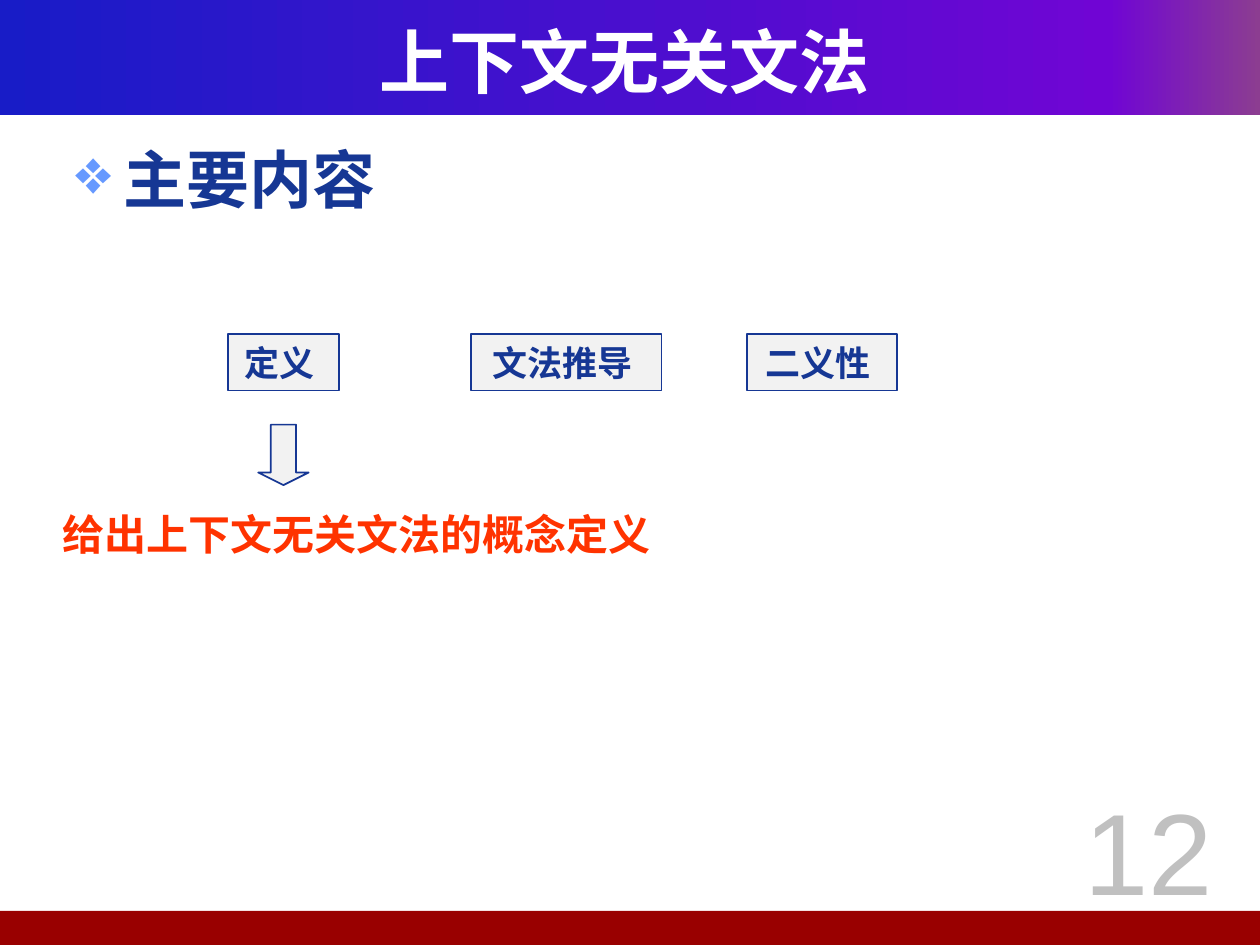
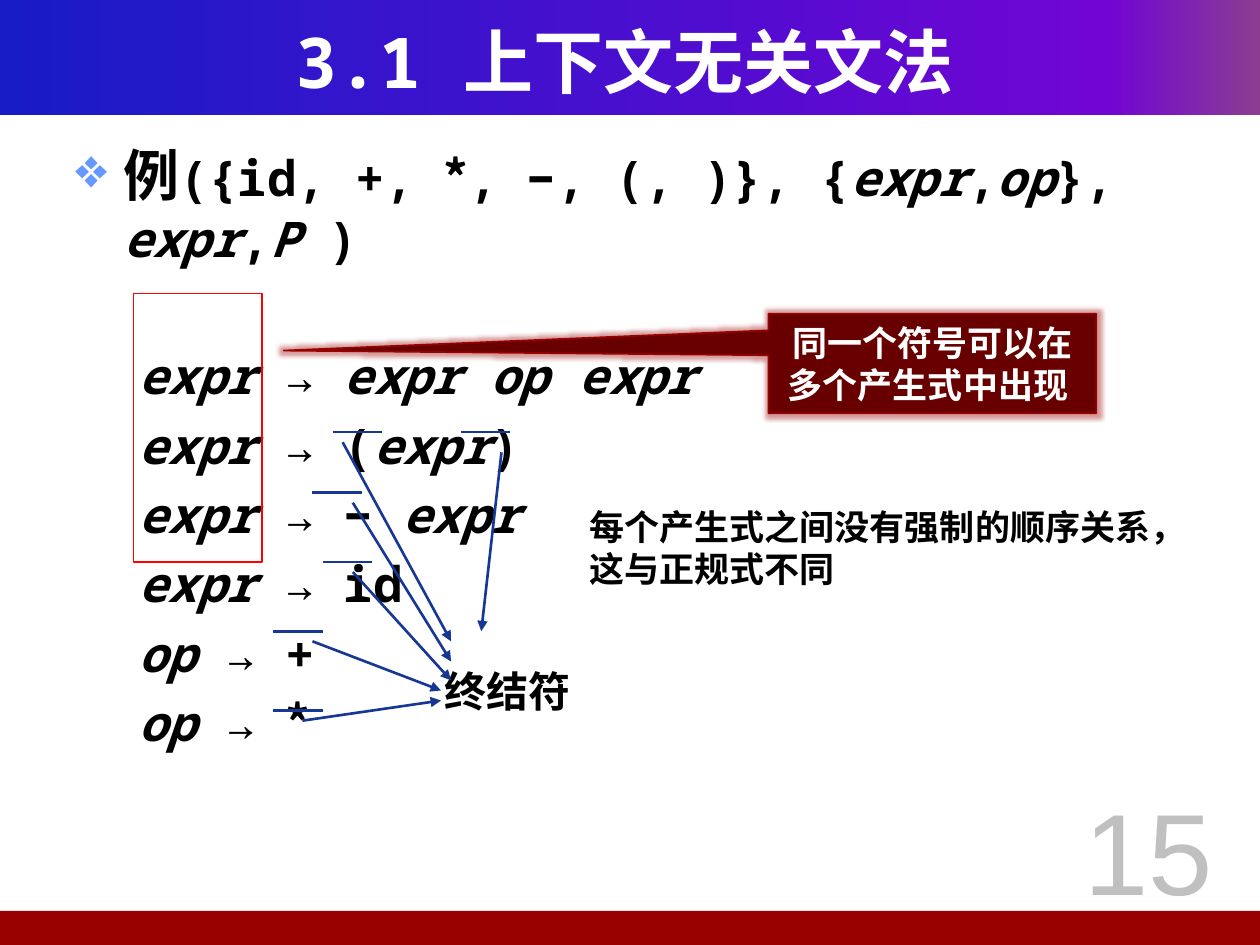
from copy import deepcopy

from lxml import etree
from pptx import Presentation
from pptx.dml.color import RGBColor
from pptx.enum.shapes import MSO_CONNECTOR, MSO_SHAPE
from pptx.enum.text import MSO_ANCHOR, PP_ALIGN
from pptx.oxml.ns import qn
from pptx.util import Inches, Pt

LEFT, CENTER = PP_ALIGN.LEFT, PP_ALIGN.CENTER
TOP, MIDDLE = MSO_ANCHOR.TOP, MSO_ANCHOR.MIDDLE
RECT, DOWN_ARROW = MSO_SHAPE.RECTANGLE, MSO_SHAPE.DOWN_ARROW
CALLOUT = MSO_SHAPE.RECTANGULAR_CALLOUT
STRAIGHT = MSO_CONNECTOR.STRAIGHT

COLORS = {
    "navy": "163794", "bullet": "6699FF", "footer": "990000", "maroon": "680000",
    "orange": "FF3300", "red": "FF0000", "box": "F2F2F2", "number": "C0C0C0",
    "white": "FFFFFF", "black": "000000",
}
TITLE_BLEND = [(0, "181CC7"), (0.88, "7005D4"), (1, "8C3D91")]
MONO, CJK, LATO, ARIAL = "Noto Sans Mono", "Noto Sans CJK SC", "Lato", "Arial"
COLUMNS, ROWS = 100, 75


def rgb(name):
    """Return the colour with this name."""
    return RGBColor.from_string(COLORS[name])


def add_node(parent, tag, **attributes):
    """Append an XML child and return it."""
    return etree.SubElement(parent, qn(tag), attributes)


def set_typeface(font, props, name):
    """Use one typeface for Latin and East Asian text."""
    font.name = name
    add_node(props, "a:ea", typeface=name)


class Deck:
    """Holds the style and the current slide; lengths are grid columns and rows."""

    def __init__(self):
        """Start an empty 4:3 presentation."""
        self.file = Presentation()
        self.file.slide_width, self.file.slide_height = Inches(10), Inches(7.5)
        self.slide = None

    def x(self, columns):
        """Turn columns into a length."""
        return round(columns * self.file.slide_width / COLUMNS)

    def y(self, rows):
        """Turn rows into a length."""
        return round(rows * self.file.slide_height / ROWS)

    def place(self, area):
        """Turn left, top, width and height into lengths."""
        left, top, width, height = area
        return self.x(left), self.y(top), self.x(width), self.y(height)

    def start_slide(self, title, number):
        """Add a slide with the title band, the footer and the page number."""
        self.slide = self.file.slides.add_slide(self.file.slide_layouts[6])
        self.blend(self.shape(RECT, (0, 0, COLUMNS, 9.1)))
        self.shape(RECT, (0, 72.3, COLUMNS, 2.7), fill="footer")
        self.text((3.3, 1.7, 92.5, 6.2), [title], MONO, 40, "white", True, CENTER, MIDDLE)
        self.text((82.3, 60.3, 17.7, 14.2), [str(number)], ARIAL, 66, "number",
                  False, CENTER, MIDDLE)

    def blend(self, band):
        """Fill the band with the horizontal title gradient."""
        band.fill.gradient()
        band.fill.gradient_angle = 0
        stop_list = band.element.spPr.find(".//" + qn("a:gsLst"))
        stop_list.append(deepcopy(stop_list[0]))
        for stop, (position, color) in zip(band.fill.gradient_stops, TITLE_BLEND):
            stop.position = position
            stop.color.rgb = RGBColor.from_string(color)

    def shape(self, kind, area, fill=None, line=None):
        """Add a preset shape without shadow."""
        shape = self.slide.shapes.add_shape(kind, *self.place(area))
        shape.shadow.inherit = False
        if fill:
            shape.fill.solid()
            shape.fill.fore_color.rgb = rgb(fill)
        else:
            shape.fill.background()
        if line:
            shape.line.color.rgb = rgb(line)
            shape.line.width = Pt(1)
        else:
            shape.line.fill.background()
        return shape

    def style(self, paragraph, typeface, size, color, bold, align=LEFT):
        """Set the font and alignment of a paragraph."""
        paragraph.alignment = align
        font = paragraph.font
        font.size, font.bold = Pt(size), bold
        font.color.rgb = rgb(color)
        set_typeface(font, font._element, typeface)

    def fill_frame(self, frame, lines, typeface, size, color, bold, align, anchor):
        """Fill a text frame with equally styled lines."""
        frame.word_wrap, frame.vertical_anchor = True, anchor
        for index, line in enumerate(lines):
            paragraph = frame.add_paragraph() if index else frame.paragraphs[0]
            paragraph.text = line
            self.style(paragraph, typeface, size, color, bold, align)

    def text(self, area, lines, typeface, size, color, bold=True, align=LEFT, anchor=TOP):
        """Add a text box."""
        box = self.slide.shapes.add_textbox(*self.place(area))
        self.fill_frame(box.text_frame, lines, typeface, size, color, bold, align, anchor)

    def label(self, kind, area, caption, typeface, fill, line, color):
        """Add a shape with a centred caption."""
        shape = self.shape(kind, area, fill, line)
        self.fill_frame(shape.text_frame, [caption], typeface, 20, color, True, CENTER, MIDDLE)
        return shape

    def glow(self, shape, color):
        """Put a soft glow around a shape."""
        effects = shape.element.spPr.find(qn("a:effectLst"))
        glow = add_node(effects, "a:glow", rad=str(Inches(0.07)))
        tint = add_node(glow, "a:srgbClr", val=COLORS[color])
        add_node(tint, "a:alpha", val="40000")

    def body(self, width):
        """Add the empty body text frame."""
        frame = self.slide.shapes.add_textbox(*self.place((5, 10.7, width, 57.4))).text_frame
        frame.word_wrap = True
        return frame

    def body_line(self, paragraph, runs, size, color, margin, hang, before, bullet=False):
        """Set one body paragraph from (text, italic, typeface, size) runs."""
        props = paragraph._p.get_or_add_pPr()
        props.set("marL", str(self.x(margin)))
        props.set("indent", str(-self.x(hang)))
        if bullet:
            tint = add_node(props, "a:buClr")
            add_node(tint, "a:srgbClr", val=COLORS["bullet"])
            add_node(props, "a:buChar", char="❖")
        paragraph.space_before = Pt(before)
        self.style(paragraph, MONO, size, color, True)
        for words, italic, typeface, run_size in runs:
            run = paragraph.add_run()
            run.text = words
            if italic:
                run.font.italic = True
            if run_size:
                run.font.size = Pt(run_size)
            if typeface:
                set_typeface(run.font, run.font._element, typeface)

    def line(self, start, end, arrow=False):
        """Draw a straight line, with an arrowhead at its end if asked."""
        line = self.slide.shapes.add_connector(
            STRAIGHT, self.x(start[0]), self.y(start[1]), self.x(end[0]), self.y(end[1]))
        line.line.color.rgb = rgb("navy")
        line.line.width = Pt(1.5)
        if arrow:
            add_node(line.line._get_or_add_ln(), "a:tailEnd", type="triangle")
        add_node(line._element.spPr, "a:effectLst")


def plain(words):
    """Return an upright run."""
    return words, False, None, None


def slanted(words):
    """Return an italic run."""
    return words, True, None, None


def symbol(words, size=None):
    """Return an upright run in the CJK typeface."""
    return words, False, CJK, size


def build_overview(deck):
    """Build the slide that lists the main topics."""
    deck.start_slide("上下文无关文法", 12)
    deck.body_line(deck.body(90).paragraphs[0], [plain("主要内容")], 36, "navy",
                   3.8, 3.8, 7, bullet=True)
    deck.text((4, 39.9, 49.9, 5), ["给出上下文无关文法的概念定义"], LATO, 24, "orange")
    topics = [("定义 ", 18.1, 8.8), ("文法推导 ", 37.4, 15.1), ("二义性 ", 59.3, 11.9)]
    for topic, left, width in topics:
        deck.label(RECT, (left, 26.5, width, 4.5), topic, CJK, "box", "navy", "navy")
    pointer = deck.shape(DOWN_ARROW, (20.5, 33.7, 4, 4.8), "box", "navy")
    pointer.adjustments[1] = 0.25


def build_example(deck):
    """Build the slide with the example grammar."""
    deck.start_slide("3.1 上下文无关文法", 15)
    frame = deck.body(93.8)
    grammar = [
        symbol("例", 32), plain("({id, +, "), symbol("*"), plain(", −, (, )}, {"),
        slanted("expr"), plain(","), slanted("op"), plain("}, "),
        slanted("expr"), plain(","), slanted("P "), plain(")"),
    ]
    deck.body_line(frame.paragraphs[0], grammar, 28, "black", 3.8, 3.8, 6, bullet=True)

    productions = [
        ("expr ", [plain("→ "), slanted("expr op expr")]),
        ("expr ", [plain("→ ("), slanted("expr"), plain(")")]),
        ("expr ", [plain("→ − "), slanted("expr")]),
        ("expr ", [plain("→ id")]),
        ("op ", [plain("→ +")]),
        ("op ", [plain("→ "), symbol("*")]),
    ]
    for index, (head, derived) in enumerate(productions):
        deck.body_line(frame.add_paragraph(), [slanted(head)] + derived, 28, "black",
                       8.1, 3.1, 6 if index else 45)

    deck.shape(RECT, (10.6, 23.3, 10.2, 21.3), line="red")
    remark = deck.label(CALLOUT, (61, 24.9, 26, 7.9), "同一个符号可以在多个产生式中出现 ",
                        LATO, "maroon", "footer", "white")
    remark.adjustments[0], remark.adjustments[1] = -1.98, -0.13
    deck.glow(remark, "footer")
    deck.text((45.8, 39.6, 50.6, 7.7),
              ["每个产生式之间没有强制的顺序关系，", "这与正规式不同"], LATO, 20, "black")

    deck.text((34.3, 52.3, 14.1, 5), ["终结符"], LATO, 24, "black")
    # Mark's left end, arrow's start, arrow's end
    terminals = [
        ((21.7, 56.4), (24, 57.2), (35, 55.6)),
        ((21.7, 50.1), (24.8, 50.9), (35, 54.8)),
        ((25.6, 44.6), (28, 45.4), (35.8, 54)),
        ((24.8, 39.1), (28, 39.9), (35.8, 52.5)),
        ((26.4, 34.3), (27.2, 35.1), (35.8, 50.9)),
        ((36.6, 34.3), (39.8, 35.9), (38.2, 50.1)),
    ]
    for (left, top), start, end in terminals:
        deck.line((left, top), (left + 3.9, top))
        deck.line(start, end, arrow=True)


lecture = Deck()
build_overview(lecture)
build_example(lecture)
lecture.file.save("out.pptx")
